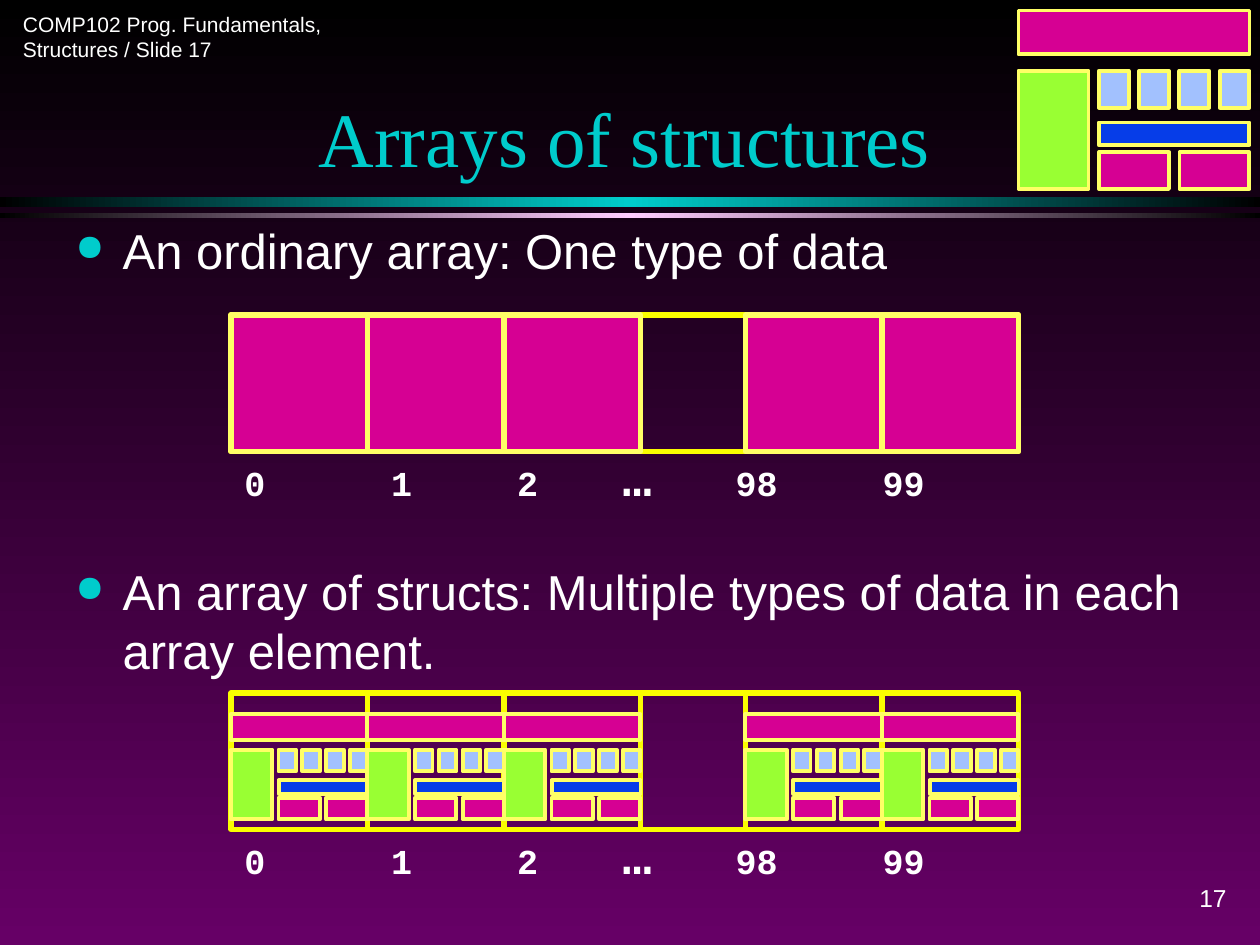
import copy

import pptx
import pptx.dml.color
import pptx.enum.shapes
import pptx.enum.text
import pptx.oxml.ns
import pptx.util
from lxml import etree

Pt = pptx.util.Pt
qn = pptx.oxml.ns.qn
ALIGN = pptx.enum.text.PP_ALIGN
ANCHOR = pptx.enum.text.MSO_ANCHOR

WHITE, TEAL = "FFFFFF", "00CCCC"
MAGENTA, GREEN, PALE, BLUE = "D60093", "99FF33", "A2C1FE", "063DE8"
EDGE, FRAME = "FFFF66", "FAFD00"


def rgb(value):
    return pptx.dml.color.RGBColor.from_string(value)


def apply(target, values):
    for name, value in values.items():
        setattr(target, name, value)


class SlideBuilder:
    """Style and drawing methods for the current slide; lengths in points."""

    def __init__(self, slide):
        self.slide = slide
        self.shapes = slide.shapes
        self.header = dict(name="Arial", size=Pt(12))
        self.number = dict(name="Arial", size=Pt(14))
        self.title_font = dict(name="Times New Roman", size=Pt(44))
        self.body = dict(name="Arial", size=Pt(28))
        self.index = dict(name="Courier New", size=Pt(20), bold=True)

    def group(self):
        self.shapes = self.slide.shapes.add_group_shape().shapes

    def ungroup(self):
        self.shapes = self.slide.shapes

    def gradient(self, fill, element, colors, angle):
        fill.gradient()
        fill.gradient_angle = angle
        stops = element.find(".//" + qn("a:gsLst"))
        for _ in colors[2:]:
            stops.append(copy.deepcopy(stops[0]))
        for i, (stop, color) in enumerate(zip(fill.gradient_stops, colors)):
            stop.position = i / (len(colors) - 1)
            stop.color.rgb = rgb(color)

    def rect(self, x, y, w, h, fill=None, line=None, width=2.25):
        sp = self.shapes.add_shape(pptx.enum.shapes.MSO_SHAPE.RECTANGLE,
                                   Pt(x), Pt(y), Pt(w), Pt(h))
        sp.shadow.inherit = False
        if fill:
            sp.fill.solid()
            sp.fill.fore_color.rgb = rgb(fill)
        else:
            sp.fill.background()
        if line:
            sp.line.color.rgb = rgb(line)
            sp.line.width = Pt(width)
        else:
            sp.line.fill.background()
        return sp

    def band(self, y, h, color):
        sp = self.rect(0, y, 720, h)
        self.gradient(sp.fill, sp._element, ["000000", color, "000000"], 0)

    def line(self, x1, y1, x2, y2, color, width):
        cn = self.shapes.add_connector(pptx.enum.shapes.MSO_CONNECTOR.STRAIGHT,
                                       Pt(x1), Pt(y1), Pt(x2), Pt(y2))
        cn.line.color.rgb = rgb(color)
        cn.line.width = Pt(width)
        etree.SubElement(cn._element.spPr, qn("a:effectLst"))

    def run(self, p, text, font, color=WHITE):
        r = p.add_run()
        r.text = text
        apply(r.font, font)
        r.font.color.rgb = rgb(color)
        return r

    def text_box(self, x, y, w, h, **frame):
        tf = self.shapes.add_textbox(Pt(x), Pt(y), Pt(w), Pt(h)).text_frame
        apply(tf, dict(word_wrap=True) | frame)
        return tf

    def title(self, text, x, y, w, h):
        sp = self.slide.shapes.title
        apply(sp, dict(left=Pt(x), top=Pt(y), width=Pt(w), height=Pt(h)))
        tf = sp.text_frame
        apply(tf, dict(vertical_anchor=ANCHOR.BOTTOM, word_wrap=True))
        tf.paragraphs[0].alignment = ALIGN.CENTER
        self.run(tf.paragraphs[0], text, self.title_font, TEAL)

    def bullet(self, p, text, **spacing):
        apply(p, spacing)
        self.run(p, text, self.body)
        pPr = p._p.get_or_add_pPr()
        pPr.set("marL", str(Pt(27)))
        pPr.set("indent", str(-Pt(27)))
        color = etree.SubElement(pPr, qn("a:buClr"))
        etree.SubElement(color, qn("a:srgbClr"), val=TEAL)
        etree.SubElement(pPr, qn("a:buSzPct"), val="75000")
        etree.SubElement(pPr, qn("a:buChar"), char="●")

    def index_row(self, x, y, labels, tabs):
        p = self.text_box(x, y, 458, 41).paragraphs[0]
        p.space_before = Pt(5)
        tab_list = etree.SubElement(p._p.get_or_add_pPr(), qn("a:tabLst"))
        for tab in tabs:
            etree.SubElement(tab_list, qn("a:tab"), pos=str(Pt(tab)), algn="l")
        for i, label in enumerate(labels):
            r = self.run(p, "\t" * (i > 0) + label, self.index)
            if label == "…":
                r.font.size = Pt(28)

    def record(self, x, y, scale=1.0):
        """One structure: a banner, a block, four chips, a bar and two tiles."""
        parts = [(0, 0, 132, 25, MAGENTA), (0, 34.5, 40, 67.5, GREEN)]
        parts += [(46 + 23 * i, 34.5, 17, 21, PALE) for i in range(4)]
        parts += [(46, 64, 86, 13, BLUE)]
        parts += [(46 + 46 * i, 81, 40, 21, MAGENTA) for i in range(2)]
        for left, top, w, h, color in parts:
            self.rect(x + left * scale, y + top * scale,
                      w * scale, h * scale, color, EDGE)

    def array(self, y, draw_cell):
        self.group()
        left, cell = 132, 78
        self.rect(left, y, 450, cell, line=FRAME, width=3)
        for x in (210, 288, 366, 426, 504):
            self.line(x, y, x, y + cell, FRAME, 3)
        self.index_row(left + 0.5, y + 72, ["0", "1", "2", "…", "98", "99"],
                       [84, 156, 216, 280.8, 364.8])
        for x in (132, 210, 288, 426, 504):
            draw_cell(x, y, cell)
        self.ungroup()


def main():
    prs = pptx.Presentation()
    apply(prs, dict(slide_width=Pt(720), slide_height=Pt(540)))
    slide = prs.slides.add_slide(prs.slide_layouts[5])
    s = SlideBuilder(slide)

    # Background and divider bands
    s.gradient(slide.background.fill, slide._element, ["000000", "660066"], 270)
    s.group()
    s.band(112.5, 6, TEAL)
    s.band(121.5, 3, "FFCCFF")
    s.ungroup()

    # Header, slide number and title
    tf = s.text_box(6, 6, 198, 30, word_wrap=False, vertical_anchor=ANCHOR.MIDDLE)
    s.run(tf.paragraphs[0], "COMP102 Prog. Fundamentals, Structures / Slide 17", s.header)
    tf = s.text_box(612, 492, 96, 42, word_wrap=False, vertical_anchor=ANCHOR.MIDDLE)
    tf.paragraphs[0].alignment = ALIGN.RIGHT
    s.run(tf.paragraphs[0], "17", s.number)
    s.title("Arrays of structures", 48, 18, 618, 90)

    # Bullets
    tf = s.text_box(36, 126, 660, 378)
    s.bullet(tf.paragraphs[0], "An ordinary array: One type of data",
             line_spacing=0.9, space_before=Pt(7))
    s.bullet(tf.add_paragraph(),
             "An array of structs: Multiple types of data in each array element.",
             space_before=Pt(161))

    # Large record in the corner
    s.group()
    s.record(582, 6)
    s.ungroup()

    # Array of plain values, then array of records
    s.array(180, lambda x, y, size: s.rect(x, y, size, size, MAGENTA, EDGE, 3))
    s.array(396, lambda x, y, size: s.record(x, y + 12, size / 132))

    prs.save("out.pptx")


if __name__ == "__main__":
    main()
